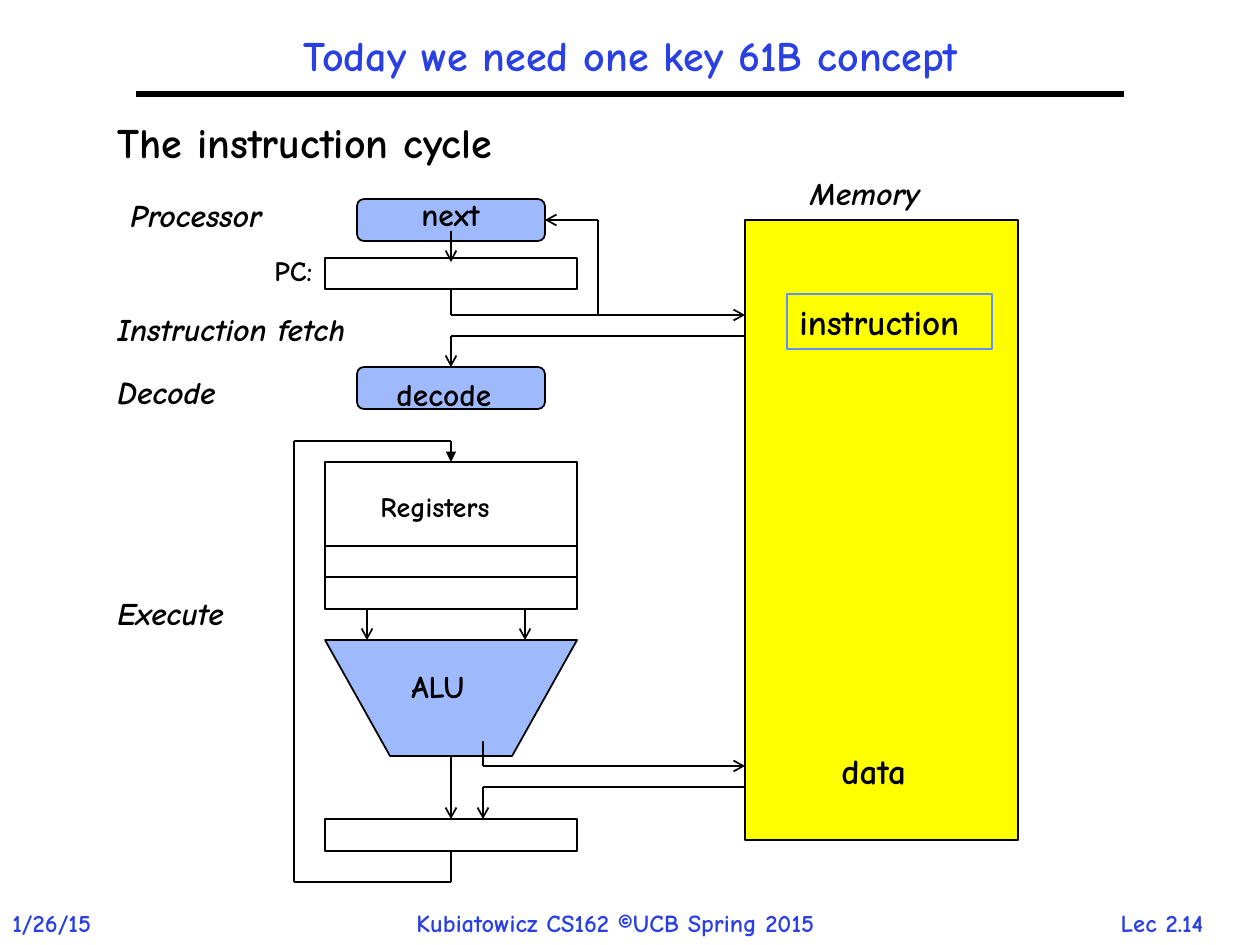
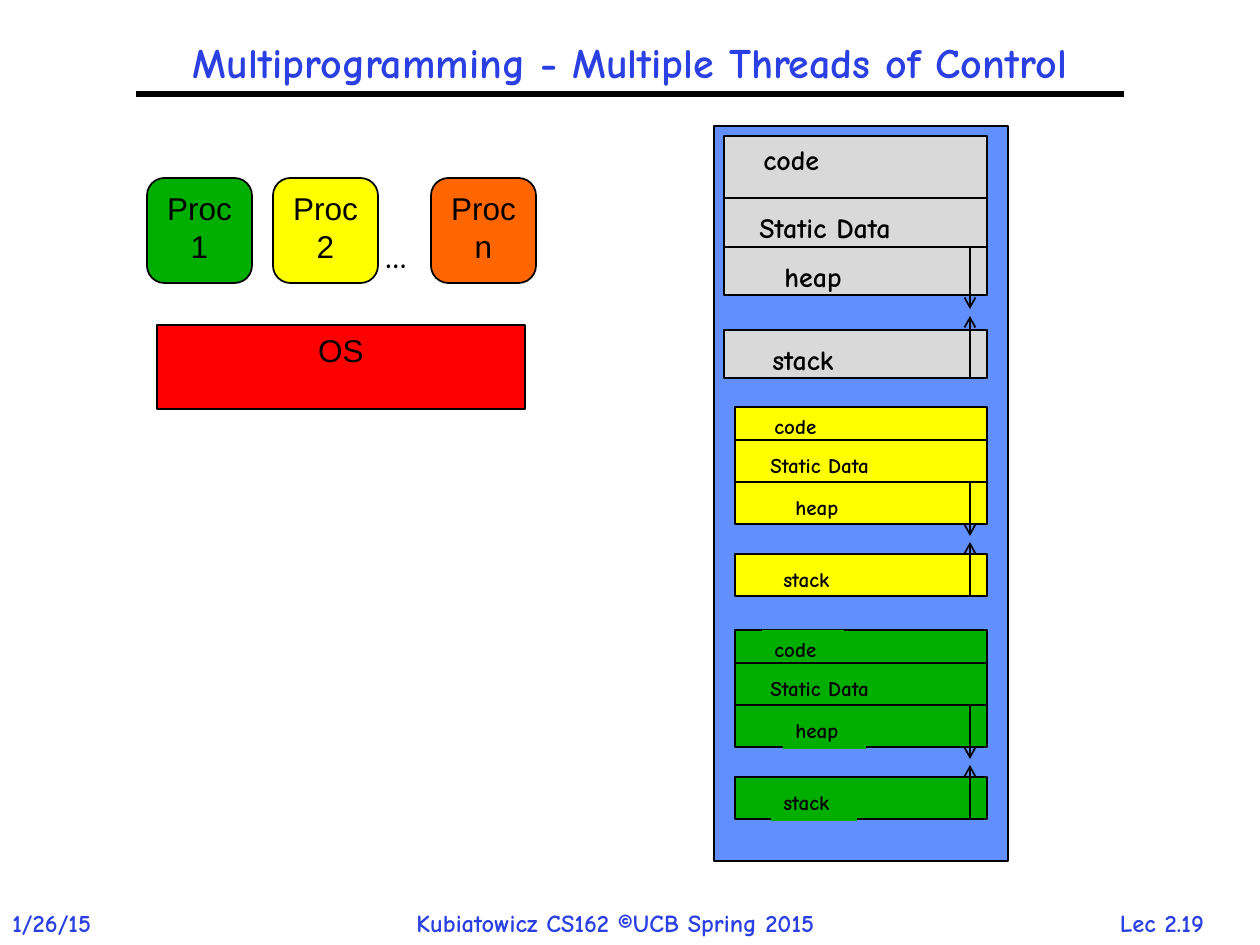
import pptx
import pptx.util
import pptx.dml.color
import pptx.enum.shapes
import pptx.enum.text
import pptx.oxml.ns
from lxml import etree

EMU_PER_PX = 914400 / 126
COLORS = {
    "ink": "000000", "title": "2A40E2", "blue": "618FFD", "yellow": "FFFF00",
    "green": "00AE00", "orange": "FF6600", "red": "FF0000", "gray": "D9D9D9",
}
HAND_FONT = "Comic Neue"
SHAPE = pptx.enum.shapes.MSO_SHAPE
ALIGN = pptx.enum.text.PP_ALIGN
qn = pptx.oxml.ns.qn


def put(shapes, box, text="", size=18, kind=None, fill=None, line=None, line_width=1,
        alpha=None, font=HAND_FONT, bold=True, italic=False, color="ink", align=ALIGN.LEFT):
    """Add a preset shape, or a text box if no kind is given; box is in px."""
    place = [round(v * EMU_PER_PX) for v in box]
    shape = shapes.add_shape(kind, *place) if kind else shapes.add_textbox(*place)
    if kind:
        shape.shadow.inherit = False
    if fill:
        shape.fill.solid()
        shape.fill.fore_color.rgb = pptx.dml.color.RGBColor.from_string(COLORS[fill])
        if alpha:
            tint = shape.fill._xPr.find(".//" + qn("a:srgbClr"))
            etree.SubElement(tint, qn("a:alpha")).set("val", str(alpha * 1000))
    else:
        shape.fill.background()
    if line:
        shape.line.color.rgb = pptx.dml.color.RGBColor.from_string(COLORS[line])
        shape.line.width = pptx.util.Pt(line_width)
    else:
        shape.line.fill.background()
    if text:
        frame = shape.text_frame
        frame.text = text
        frame.word_wrap = True
        frame.vertical_anchor = pptx.enum.text.MSO_ANCHOR.TOP
        frame.paragraphs[0].alignment = align
        style = frame.paragraphs[0].runs[0].font
        style.name, style.size = font, pptx.util.Pt(size)
        style.bold, style.italic = bold, italic
        style.color.rgb = pptx.dml.color.RGBColor.from_string(COLORS[color])
    return shape


def connect(shapes, start, end, head=None, width=1, begin=None, finish=None):
    """Draw a line between px points; begin and finish are (shape, side) joints."""
    ends = [round(v * EMU_PER_PX) for v in (*start, *end)]
    link = shapes.add_connector(pptx.enum.shapes.MSO_CONNECTOR.STRAIGHT, *ends)
    link.line.color.rgb = pptx.dml.color.RGBColor.from_string(COLORS["ink"])
    link.line.width = pptx.util.Pt(width)
    if head:
        etree.SubElement(link.line._get_or_add_ln(), qn("a:tailEnd")).set("type", head)
    etree.SubElement(link._element.spPr, qn("a:effectLst"))
    if begin:
        link.begin_connect(*begin)
    if finish:
        link.end_connect(*finish)


deck = pptx.Presentation()
deck.slide_width = round(1260 * EMU_PER_PX)
deck.slide_height = round(945 * EMU_PER_PX)

# Title, rule and footer of every slide
slides = []
for title_text, title_box, lecture_page in [
    ("Today we need one key 61B concept", (137, 21, 987, 73), "Lec 2.14"),
    ("Multiprogramming - Multiple Threads of Control", (84, 14, 1092, 102), "Lec 2.19"),
]:
    slide = deck.slides.add_slide(deck.slide_layouts[5])
    slides.append(slide)
    title = slide.shapes.title
    title.left, title.top, title.width, title.height = [round(v * EMU_PER_PX) for v in title_box]
    title.text_frame.text = title_text
    title.text_frame.auto_size = pptx.enum.text.MSO_AUTO_SIZE.NONE
    title.text_frame.vertical_anchor = pptx.enum.text.MSO_ANCHOR.MIDDLE
    heading = title.text_frame.paragraphs[0]
    heading.alignment = ALIGN.CENTER
    heading.line_spacing = 0.9
    style = heading.runs[0].font
    style.name, style.size, style.bold = HAND_FONT, pptx.util.Pt(24), True
    style.color.rgb = pptx.dml.color.RGBColor.from_string(COLORS["title"])

    connect(slide.shapes, (136, 94), (1124, 94), width=3)
    for footer, box, align in [
        ("1/26/15", (0, 902, 126, 43), ALIGN.LEFT),
        ("Kubiatowicz CS162 ©UCB Spring 2015", (404, 902, 488, 43), ALIGN.LEFT),
        (lecture_page, (1086, 902, 152, 42), ALIGN.CENTER),
    ]:
        put(slide.shapes, box, footer, size=14, color="title", align=align)

# Slide 1: the instruction cycle
cycle = slides[0].shapes
subtitle = put(cycle, (105, 116, 1050, 63), "The instruction cycle", size=24)
subtitle.text_frame.paragraphs[0].line_spacing = 0.9

stage = {"fill": "blue", "alpha": 61, "line": "ink"}
alu = put(cycle, (325, 640, 252, 116), kind=SHAPE.TRAPEZOID, **stage)
alu.adjustments[0] = 0.56
alu.rotation = 180
next_step = put(cycle, (357, 199, 188, 42), kind=SHAPE.ROUNDED_RECTANGLE, **stage)
decoder = put(cycle, (357, 367, 188, 42), kind=SHAPE.ROUNDED_RECTANGLE, **stage)
counter, registers, register_row, result = [
    put(cycle, (325, top, 252, height), kind=SHAPE.RECTANGLE, line="ink")
    for top, height in [(258, 31), (462, 147), (546, 31), (819, 32)]
]
put(cycle, (745, 220, 273, 620), kind=SHAPE.RECTANGLE, fill="yellow", line="ink")
put(cycle, (787, 294, 205, 55), "instruction", size=20, kind=SHAPE.RECTANGLE,
    line="blue", line_width=0.75)

for label, box, size in [
    ("PC:", (262, 247, 73, 47), 16),
    ("Registers", (368, 483, 145, 47), 16),
    ("ALU", (399, 661, 90, 50), 18),
    ("next", (409, 189, 86, 50), 18),
    ("decode", (384, 369, 130, 50), 18),
    ("data", (829, 743, 102, 55), 20),
]:
    put(cycle, box, label, size)
for phase, left, top, width in [
    ("Processor", 118, 190, 176),
    ("Instruction fetch", 105, 304, 257),
    ("Decode", 105, 367, 142),
    ("Execute", 105, 588, 147),
    ("Memory", 798, 168, 147),
]:
    put(cycle, (left, top, width, 50), phase, italic=True)

axis = 451       # middle of the processor column
data_port = 483
memory_side = 745
for start, end, head, begin, finish in [
    ((axis, 231), (axis, 262), "arrow", None, None),
    # fetch and next address
    ((axis, 315), (axis, 289), None, None, (counter, 2)),
    ((axis, 315), (memory_side, 315), "arrow", None, None),
    ((598, 315), (598, 220), None, None, None),
    ((598, 220), (545, 220), "arrow", None, (next_step, 3)),
    # instruction to decoder
    ((axis, 336), (memory_side, 336), None, None, None),
    ((axis, 336), (axis, 367), "arrow", None, (decoder, 0)),
    # operands
    ((367, 609), (367, 640), "arrow", None, None),
    ((525, 609), (525, 640), "arrow", None, None),
    # data to and from memory
    ((data_port, 766), (data_port, 741), None, None, None),
    ((data_port, 766), (memory_side, 766), "arrow", None, None),
    ((data_port, 787), (memory_side, 787), None, None, None),
    ((data_port, 787), (data_port, 819), "arrow", None, None),
    # result back to the registers
    ((axis, 756), (axis, 819), "arrow", None, (result, 0)),
    ((axis, 851), (axis, 882), None, (result, 2), None),
    ((axis, 882), (294, 882), None, None, None),
    ((294, 882), (294, 441), None, None, None),
    ((294, 441), (axis, 441), None, None, None),
    ((axis, 441), (axis, 462), "triangle", None, (registers, 0)),
]:
    connect(cycle, start, end, head, begin=begin, finish=finish)

# Slide 2: processes and their memory
threads = slides[1].shapes
plain = {"font": "Arial", "bold": False, "align": ALIGN.CENTER, "line": "ink"}
put(threads, (157, 325, 368, 84), "OS", kind=SHAPE.RECTANGLE, fill="red", **plain)
for process, left, color in [
    ("Proc 1", 147, "green"), ("Proc 2", 273, "yellow"), ("Proc n", 431, "orange"),
]:
    put(threads, (left, 178, 105, 105), process, kind=SHAPE.ROUNDED_RECTANGLE,
        fill=color, **plain)
put(threads, (373, 231, 57, 50), "…")
put(threads, (714, 126, 294, 735), kind=SHAPE.RECTANGLE, fill="blue", line="ink")

# Per section: name, label indent, label drop, label width at 12 pt
SECTIONS = [("code", 27, 0, 82), ("Static Data", 23, 6, 147),
            ("heap", 48, 6, 83), ("stack", 36, 6, 86)]
large_spans = [(0, 62), (62, 49), (111, 48), (194, 48)]
small_spans = [(0, 33), (33, 42), (75, 42), (147, 42)]
for left, top, width, color, size, spans, reach, label_fill in [
    (724, 136, 263, "gray", 16, large_spans, 62, None),
    (735, 407, 252, "yellow", 12, small_spans, 54, None),
    (735, 630, 252, "green", 12, small_spans, 54, "green"),
]:
    space = threads.add_group_shape().shapes
    for (section, indent, drop, label_width), (offset, height) in zip(SECTIONS, spans):
        put(space, (left, top + offset, width, height), kind=SHAPE.RECTANGLE,
            fill=color, line="ink")
        put(space, (left + indent, top + offset + drop, label_width * size / 12, 38),
            section, size, fill=label_fill)
    heap_top = top + spans[2][0]
    stack_bottom = top + sum(spans[3])
    connect(space, (970, stack_bottom), (970, stack_bottom - reach), "arrow")
    connect(space, (970, heap_top), (970, heap_top + reach), "arrow")

deck.save("out.pptx")
